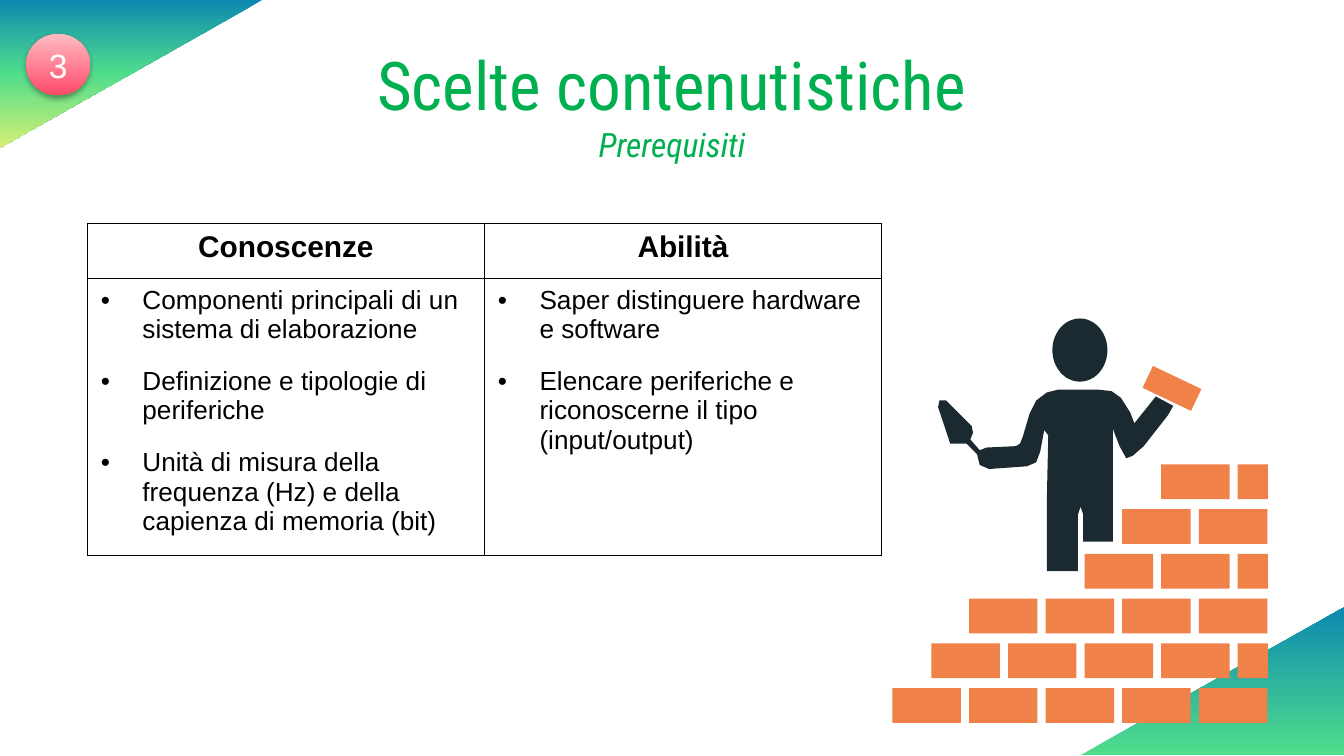
from dataclasses import dataclass

from lxml.etree import SubElement
from pptx import Presentation
from pptx.dml.color import RGBColor
from pptx.enum.shapes import MSO_SHAPE as Shape
from pptx.enum.text import MSO_ANCHOR as Anchor, PP_ALIGN as Align
from pptx.oxml import parse_xml
from pptx.oxml.ns import nsdecls, qn
from pptx.util import Inches, Pt


@dataclass(frozen=True)
class Theme:
    green: str = "00B050"
    black: str = "000000"
    white: str = "FFFFFF"
    figure: str = "1A2A30"
    brick: str = "F08148"
    corner: tuple = ("0D89B1", "50DD8B", "D6F075")
    badge: tuple = ("FF4A69", "FFBBC2")
    heading_font: str = "Roboto Condensed"
    body_font: str = "Arial"
    title_size: int = 36
    subtitle_size: int = 18
    header_size: int = 16
    body_size: int = 14


theme = Theme()
presentation = Presentation()
presentation.slide_width = Inches(10)
presentation.slide_height = Inches(10) * 9 // 16
slide = presentation.slides.add_slide(presentation.slide_layouts[6])
COLUMN = presentation.slide_width / 100
ROW = presentation.slide_height / 56.25


def write(frame, text, *, size, color, font=theme.body_font, bold=False,
          italic=False, align=Align.LEFT, bullet=False, before=0, after=0):
    paragraph = frame.paragraphs[0] if not frame.text else frame.add_paragraph()
    paragraph.alignment = align
    if bullet:
        properties = paragraph._p.get_or_add_pPr()
        properties.set("marL", str(Inches(0.31)))
        properties.set("indent", str(-Inches(0.31)))
        SubElement(SubElement(properties, qn("a:buClr")), qn("a:srgbClr"), val=color)
        SubElement(properties, qn("a:buFont"), typeface=font)
        SubElement(properties, qn("a:buChar"), char="•")
    paragraph.space_before = Pt(before)
    paragraph.space_after = Pt(after)
    run = paragraph.add_run()
    run.text = text
    run.font.name = font
    run.font.size = Pt(size)
    run.font.bold = bold
    run.font.italic = italic
    run.font.color.rgb = RGBColor.from_string(color)


def add_block(kind, left, top, width, height, color, rotation=0):
    shape = slide.shapes.add_shape(kind, int(left * COLUMN), int(top * ROW),
                                   int(width * COLUMN), int(height * ROW))
    shape.rotation = rotation
    shape.shadow.inherit = False
    shape.fill.solid()
    shape.fill.fore_color.rgb = RGBColor.from_string(color)
    shape.line.fill.background()
    return shape


gradient_shapes = [
    (Shape.RIGHT_TRIANGLE, (4.25, -4.25, 11, 19.5), 90, theme.corner, 0),
    (Shape.RIGHT_TRIANGLE, (84.7, 40.9, 11, 19.6), 270, theme.corner[1::-1], 0),
    (Shape.OVAL, (1.95, 2.55, 4.75, 4.55), 0, theme.badge, 270),
]
for kind, place, rotation, colors, angle in gradient_shapes:
    shape = add_block(kind, *place, colors[0], rotation)
    stops = "".join(
        f'<a:gs pos="{100000 * index // (len(colors) - 1)}"><a:srgbClr val="{color}"/></a:gs>'
        for index, color in enumerate(colors))
    solid = shape._element.spPr.find(qn("a:solidFill"))
    solid.getparent().replace(solid, parse_xml(
        f'<a:gradFill {nsdecls("a")} rotWithShape="1"><a:gsLst>{stops}</a:gsLst>'
        f'<a:lin ang="{angle * 60000}" scaled="0"/></a:gradFill>'))

badge = shape
badge._element.spPr.find(qn("a:effectLst")).append(parse_xml(
    f'<a:outerShdw {nsdecls("a")} blurRad="{Pt(3.1)}" dist="{Pt(1.8)}" dir="5400000" '
    f'rotWithShape="0"><a:srgbClr val="{theme.black}"><a:alpha val="35000"/></a:srgbClr></a:outerShdw>'))
badge.text_frame.vertical_anchor = Anchor.MIDDLE
write(badge.text_frame, "3", size=theme.subtitle_size, color=theme.white, align=Align.CENTER)

body_outline = [
    (86, 29.5), (84.4, 31.5), (84.1, 30.7), (83.4, 29.6), (82.7, 29.1), (81.8, 29),
    (78.7, 29), (77.9, 29.2), (77.1, 29.8), (76.6, 30.8), (76.1, 32.5), (75.9, 33),
    (75.6, 33.2), (73.4, 33.3), (72.9, 33.5), (72.2, 32.7), (72.4, 32.2), (72.3, 31.7),
    (70.4, 29.8), (69.9, 29.8), (69.8, 30.3), (70.7, 33), (71.9, 33), (72.7, 33.8),
    (72.9, 34.6), (73.6, 34.9), (76.4, 34.7), (77.1, 34.4), (77.4, 33.6), (77.7, 32),
    (78, 32.4), (77.9, 36.8), (77.9, 42.5), (80.2, 42.5), (80.2, 38.3), (80.4, 37.7),
    (80.6, 38.3), (80.6, 40.3), (82.8, 40.3), (82.8, 31.9), (83.3, 33.2), (83.8, 34.1),
    (84.3, 33.9), (85.1, 33.2), (86.9, 30.9), (87.3, 30.2),
]
points = [(int(x * COLUMN), int(y * ROW)) for x, y in body_outline]
builder = slide.shapes.build_freeform(*points[0], scale=1)
builder.add_line_segments(points[1:], close=True)
body = builder.convert_to_shape()
body.shadow.inherit = False
body.fill.solid()
body.fill.fore_color.rgb = RGBColor.from_string(theme.figure)
body.line.fill.background()
add_block(Shape.OVAL, 78.3, 23.7, 4.1, 4.7, theme.figure)
add_block(Shape.RECTANGLE, 85.2, 28, 4, 1.8, theme.brick, 25.5)

for course, whole_bricks in enumerate([5, 4, 4, 2, 2, 1]):
    top = 51.2 - 3.33 * course
    left = 89.2
    if course % 2:
        left = 86.4
        add_block(Shape.RECTANGLE, 92.1, top, 2.25, 2.6, theme.brick)
    for brick in range(whole_bricks):
        add_block(Shape.RECTANGLE, left - 5.7 * brick, top, 5.1, 2.6, theme.brick)

contents = {
    "Conoscenze": [
        "Componenti principali di un sistema di elaborazione",
        "Definizione e tipologie di periferiche",
        "Unità di misura della frequenza (Hz) e della capienza di memoria (bit)",
    ],
    "Abilità": [
        "Saper distinguere hardware e software",
        "Elencare periferiche e riconoscerne il tipo (input/output)",
    ],
}
table = slide.shapes.add_table(2, 2, int(6.5 * COLUMN), int(16.65 * ROW),
                               int(59.1 * COLUMN), int(24.7 * ROW)).table
table.first_row = False
table.horz_banding = False
table.rows[0].height = int(4.1 * ROW)
table.rows[1].height = int(20.6 * ROW)
for column, (header, items) in enumerate(contents.items()):
    write(table.cell(0, column).text_frame, header, size=theme.header_size,
          color=theme.black, bold=True, align=Align.CENTER)
    for index, item in enumerate(items):
        write(table.cell(1, column).text_frame, item, size=theme.body_size,
              color=theme.black, bullet=True, before=6 if index else 0, after=6)
for cell in table.iter_cells():
    for side in "LRTB":
        border = SubElement(cell._tc.get_or_add_tcPr(), qn(f"a:ln{side}"), w=str(Pt(0.75)))
        SubElement(SubElement(border, qn("a:solidFill")), qn("a:srgbClr"), val=theme.black)
    cell.fill.background()

title = slide.shapes.add_textbox(int(12.2 * COLUMN), int(2.7 * ROW),
                                 int(75.6 * COLUMN), int(10.1 * ROW)).text_frame
title.word_wrap = True
heading = {"font": theme.heading_font, "color": theme.green, "align": Align.CENTER}
write(title, "Scelte contenutistiche", size=theme.title_size, **heading)
write(title, "Prerequisiti", size=theme.subtitle_size, italic=True, **heading)

presentation.save("out.pptx")
